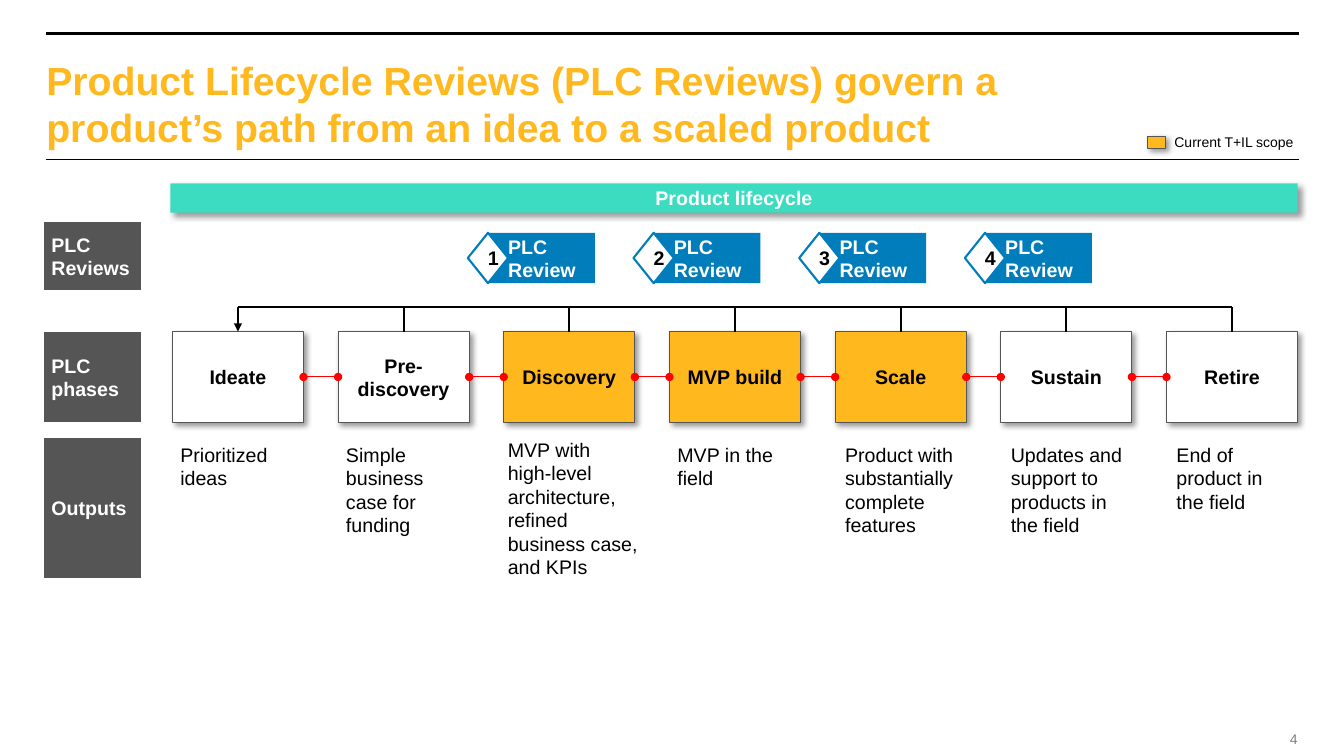
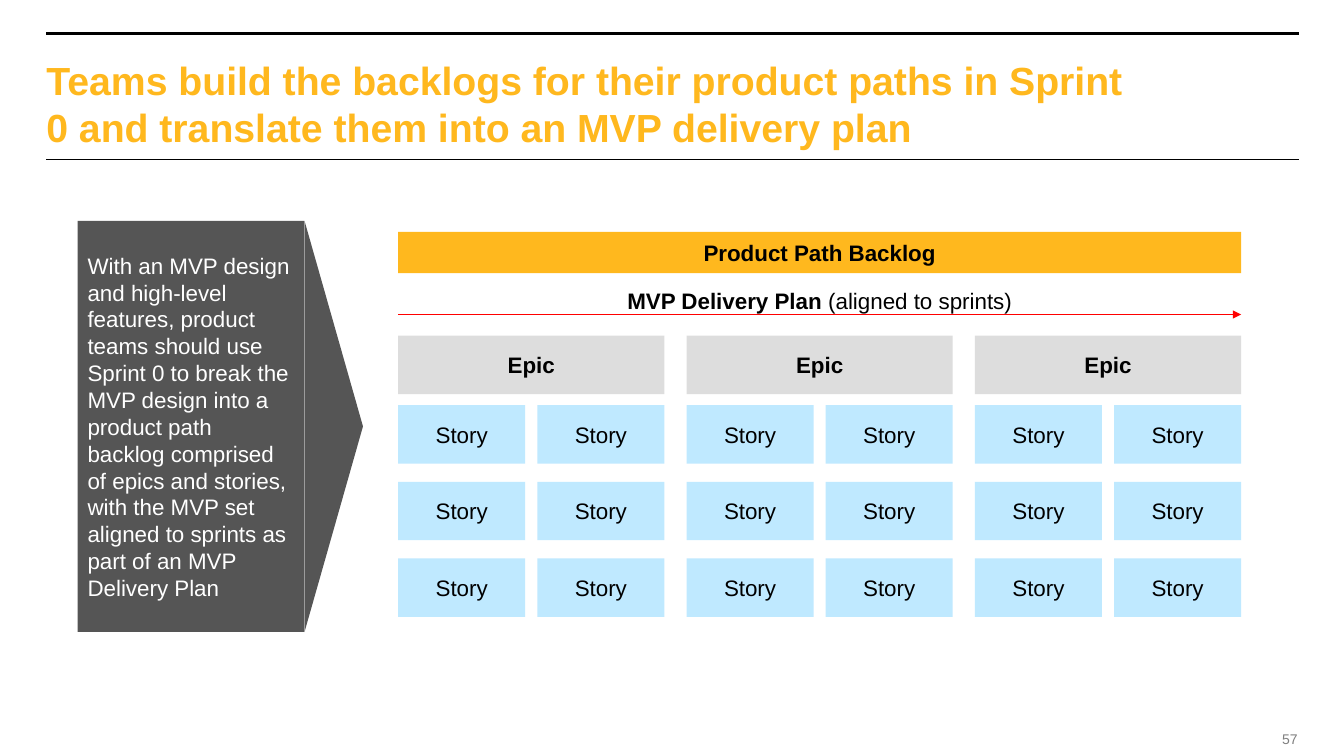
import lxml.etree
import pptx
import pptx.dml.color
import pptx.enum.shapes
import pptx.enum.text
import pptx.oxml.ns
import pptx.util

Inches = pptx.util.Inches
Pt = pptx.util.Pt
RGBColor = pptx.dml.color.RGBColor
SHAPE = pptx.enum.shapes.MSO_SHAPE
STRAIGHT = pptx.enum.shapes.MSO_CONNECTOR.STRAIGHT
ALIGN = pptx.enum.text.PP_ALIGN
ANCHOR = pptx.enum.text.MSO_ANCHOR

BLACK = RGBColor(0x00, 0x00, 0x00)
WHITE = RGBColor(0xFF, 0xFF, 0xFF)
AMBER = RGBColor(0xFF, 0xB8, 0x1E)
CHARCOAL = RGBColor(0x55, 0x55, 0x55)
GREY = RGBColor(0x7F, 0x7F, 0x7F)
SILVER = RGBColor(0xDD, 0xDD, 0xDD)
TEAL = RGBColor(0x3C, 0xDC, 0xC0)
BLUE = RGBColor(0x01, 0x7D, 0xBB)
SKY = RGBColor(0xBF, 0xE9, 0xFF)
RED = RGBColor(0xFF, 0x00, 0x00)

FONT = "Arial"
MARGIN_LEFT, MARGIN_RIGHT = 0.46, 12.88
DEFAULT_INSETS = (0.1, 0.05, 0.1, 0.05)
NO_INSETS = (0, 0, 0, 0)

# Name, colour, output, output's left offset from the phase
PHASES = [
    ("Ideate", WHITE, "Prioritized ideas", -0.02),
    ("Pre-discovery", WHITE, "Simple business case for funding", -0.02),
    ("Discovery", AMBER, "MVP with high-level architecture, refined business case, and KPIs", 0.04),
    ("MVP build", AMBER, "MVP in the field", -0.02),
    ("Scale", AMBER, "Product with substantially complete features", 0),
    ("Sustain", WHITE, "Updates and support to products in the field", 0),
    ("Retire", WHITE, "End of product in the field", 0),
]
PHASE_LEFT, PHASE_TOP, PHASE_WIDTH, PHASE_HEIGHT = 1.71, 3.29, 1.3, 0.9
PHASE_STEP = (11.57 - PHASE_LEFT) / (len(PHASES) - 1)


def write(item, text, size, color=BLACK, bold=False, align=ALIGN.LEFT,
          anchor=ANCHOR.MIDDLE, insets=DEFAULT_INSETS, wrap=True):
    """Fill an item with one paragraph and return that paragraph."""
    frame = item.text_frame
    frame.word_wrap = wrap
    frame.vertical_anchor = anchor
    (frame.margin_left, frame.margin_top,
     frame.margin_right, frame.margin_bottom) = map(Inches, insets)
    para = frame.paragraphs[0]
    para.text = text
    para.alignment = align
    para.font.name = FONT
    para.font.size = Pt(size)
    para.font.bold = bold
    para.font.color.rgb = color
    return para


def add_text(page, box, text, size, **style):
    return write(page.shapes.add_textbox(*map(Inches, box)), text, size, **style)


def add_block(shapes, box, fill, line=None, width=0.75, kind=SHAPE.RECTANGLE):
    block = shapes.add_shape(kind, *map(Inches, box))
    block.shadow.inherit = False
    block.fill.solid()
    block.fill.fore_color.rgb = fill
    if line is None:
        block.line.fill.background()
    else:
        block.line.color.rgb = line
        block.line.width = Pt(width)
    return block


def add_child(parent, tag, **attributes):
    return lxml.etree.SubElement(parent, pptx.oxml.ns.qn(tag), attributes)


def cast_shadow(block):
    """Give a block a soft shadow towards its lower right."""
    effects = block._element.spPr.find(pptx.oxml.ns.qn("a:effectLst"))
    shadow = add_child(effects, "a:outerShdw", blurRad=str(Pt(4)), dist=str(Pt(3)),
                       dir="2700000", algn="tl", rotWithShape="0")
    color = add_child(shadow, "a:srgbClr", val=str(BLACK))
    add_child(color, "a:alpha", val="40000")


def add_line(page, start, end, color, width, head=None, tail=None):
    line = page.shapes.add_connector(STRAIGHT, *map(Inches, start + end))
    line.line.color.rgb = color
    line.line.width = Pt(width)
    outline = line.line._get_or_add_ln()
    for tag, kind in (("a:headEnd", head), ("a:tailEnd", tail)):
        if kind:
            add_child(outline, tag, type=kind)
    add_child(line._element.spPr, "a:effectLst")
    return line


def add_page(deck, title, number):
    """Add a slide with the shared rules, title and page number."""
    page = deck.slides.add_slide(deck.slide_layouts[6])
    for y, width in ((0.33, 2.5), (1.58, 1)):
        add_line(page, (MARGIN_RIGHT, y), (MARGIN_LEFT, y), BLACK, width)
    add_text(page, (MARGIN_LEFT, 0.56, 10.81, 0.94), title, 28, color=AMBER,
             bold=True, anchor=ANCHOR.TOP, insets=NO_INSETS)
    add_text(page, (12.7, 7.25, 0.17, 0.17), str(number), 10, color=GREY,
             align=ALIGN.RIGHT, insets=NO_INSETS, wrap=False)
    return page


def add_legend(page, left, top):
    cast_shadow(add_block(page.shapes, (left, top + 0.08, 0.18, 0.12), AMBER, CHARCOAL))
    add_text(page, (left + 0.17, top, 1.4, 0.27), "Current T+IL scope", 10)


def add_row_labels(page, left, width):
    rows = (("PLC Reviews", 2.2, 0.68), ("PLC phases", PHASE_TOP, PHASE_HEIGHT),
            ("Outputs", 4.34, 1.4))
    for text, top, height in rows:
        label = add_block(page.shapes, (left, top, width, height), CHARCOAL, WHITE)
        write(label, text, 14, color=WHITE, bold=True, insets=(0.08,) * 4)


def add_review(page, left, top, number):
    """Add a review flag with its numbered diamond on the left edge."""
    height, diamond_width = 0.5, 0.4
    flag = add_block(page.shapes, (left + diamond_width / 2, top, 1.06, height), BLUE)
    write(flag, "PLC Review", 14, color=WHITE, bold=True, insets=(0.2, 0.05, 0.1, 0.05))
    diamond = add_block(page.shapes, (left, top, diamond_width, height), WHITE, BLUE,
                        1.5, SHAPE.FLOWCHART_DECISION)
    write(diamond, str(number), 14, bold=True, align=ALIGN.CENTER)


def add_phases(page):
    """Add the row of phases, the links between them and their outputs."""
    blocks = []
    for index, (name, fill, output, offset) in enumerate(PHASES):
        left = PHASE_LEFT + index * PHASE_STEP
        block = add_block(page.shapes, (left, PHASE_TOP, PHASE_WIDTH, PHASE_HEIGHT),
                          fill, CHARCOAL)
        cast_shadow(block)
        write(block, name, 14, bold=True, align=ALIGN.CENTER)
        blocks.append(block)
        flush = offset > 0
        add_text(page, (left + offset, 4.34, 1.3 if flush else 1.33, 1.4), output, 14,
                 anchor=ANCHOR.TOP, insets=NO_INSETS if flush else DEFAULT_INSETS)
    for before, after in zip(blocks, blocks[1:]):
        link = add_line(page, (0, 0), (0, 0), RED, 0.75, "oval", "oval")
        link.begin_connect(before, 3)
        link.end_connect(after, 1)
    return blocks


def add_return_path(page, blocks, top):
    """Lead every later phase back to the first one."""
    centers = [PHASE_LEFT + PHASE_WIDTH / 2 + index * PHASE_STEP
               for index in range(len(blocks))]
    add_line(page, (centers[-1], top), (centers[0], top), BLACK, 1.5)
    for center, block in zip(centers[1:], blocks[1:]):
        riser = add_line(page, (center, PHASE_TOP), (center, top), BLACK, 1.5)
        riser.begin_connect(block, 0)
    arrow = add_line(page, (centers[0], top), (centers[0], PHASE_TOP), BLACK, 1.5,
                     tail="triangle")
    arrow.end_connect(blocks[0], 0)


def build_lifecycle(deck):
    page = add_page(deck, "Product Lifecycle Reviews (PLC Reviews) govern a product’s "
                          "path from an idea to a scaled product", 4)
    add_legend(page, 11.38, 1.27)
    band = add_block(page.shapes, (1.69, 1.82, 11.18, 0.29), TEAL)
    cast_shadow(band)
    write(band, "Product lifecycle", 14, color=WHITE, bold=True, align=ALIGN.CENTER,
          insets=(0.04,) * 4)
    add_row_labels(page, 0.43, 0.97)
    for index in range(4):
        add_review(page, 4.64 + index * PHASE_STEP, 2.31, index + 1)
    add_return_path(page, add_phases(page), 3.05)


def add_callout(page, left, top, width, height, text):
    """Add a text panel with a point on its right side."""
    depth = 0.58
    point = add_block(page.shapes,
                      (left + width + (depth - height) / 2, top + (height - depth) / 2,
                       height, depth), CHARCOAL, kind=SHAPE.ISOSCELES_TRIANGLE)
    point.rotation = 90
    panel = add_block(page.shapes, (left, top, width, height), CHARCOAL)
    write(panel, text, 16, color=WHITE)


def add_epic(page, left, top):
    """Add an epic above its grid of stories."""
    width, height, story_width = 2.64, 0.58, 1.26
    epic = add_block(page.shapes, (left, top, width, height), SILVER)
    write(epic, "Epic", 16, bold=True, align=ALIGN.CENTER)
    stories = page.shapes.add_group_shape().shapes
    for row in range(3):
        for column in range(2):
            box = (left + column * (width - story_width), top + 0.69 + row * 0.76,
                   story_width, height)
            story = add_block(stories, box, SKY)
            write(story, "Story", 16, align=ALIGN.CENTER)


def add_backlog(page, left, top, width):
    header = add_block(page.shapes, (left, top, width, 0.41), AMBER)
    write(header, "Product Path Backlog", 16, bold=True, align=ALIGN.CENTER)
    add_line(page, (left, top + 0.82), (left + width, top + 0.82), RED, 0.75,
             tail="triangle")
    plan = add_text(page, (left + 1.43, top + 0.55, 5.5, 0.27), "", 16,
                    align=ALIGN.CENTER, anchor=ANCHOR.TOP, insets=NO_INSETS)
    for text, bold in (("MVP Delivery Plan", True), (" (aligned to sprints)", False)):
        span = plan.add_run()
        span.text = text
        span.font.bold = bold
    for index in range(3):
        add_epic(page, left + index * 2.86, top + 1.03)


def build_backlog(deck):
    page = add_page(deck, "Teams build the backlogs for their product paths in Sprint 0 "
                          "and translate them into an MVP delivery plan", 57)
    add_callout(page, 0.77, 2.19, 2.25, 4.08,
                "With an MVP design and high-level features, product teams should use "
                "Sprint 0 to break the MVP design into a product path backlog comprised "
                "of epics and stories, with the MVP set aligned to sprints as part of "
                "an MVP Delivery Plan")
    add_backlog(page, 3.95, 2.3, 8.36)


def main():
    deck = pptx.Presentation()
    deck.slide_width, deck.slide_height = Inches(13.33), Inches(7.5)
    build_lifecycle(deck)
    build_backlog(deck)
    deck.save("out.pptx")


if __name__ == "__main__":
    main()
